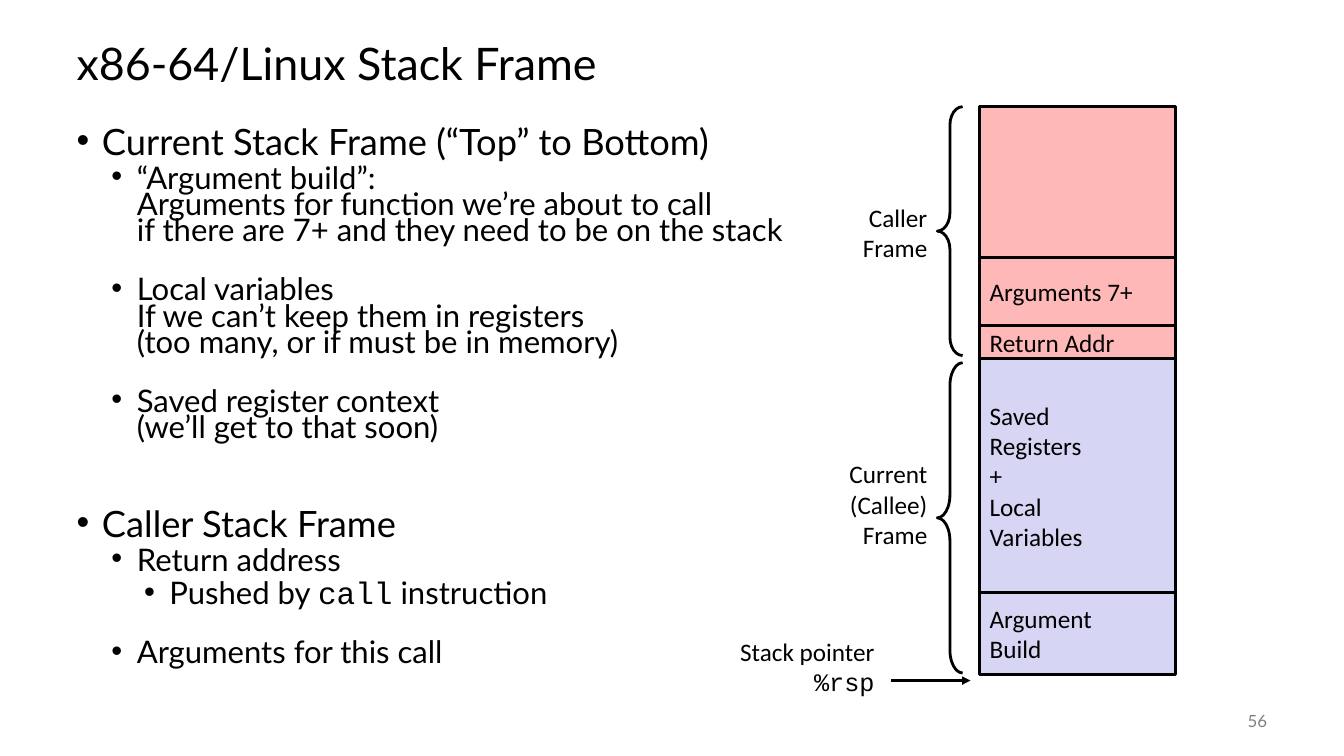
from lxml.etree import SubElement
from pptx import Presentation
from pptx.dml.color import RGBColor
from pptx.enum.shapes import MSO_CONNECTOR, MSO_SHAPE
from pptx.enum.text import MSO_ANCHOR, PP_ALIGN
from pptx.oxml.ns import qn
from pptx.util import Cm, Pt

COLORS = {
    "text": "000000",
    "line": "000000",
    "caller": "FFB8B8",
    "callee": "D6D6F4",
    "number": "808080",
}
MONOSPACE = "Courier New"
STACK_LEFT, STACK_TOP, STACK_WIDTH = 24.69, 2.69, 4.93
STACK = [
    ("caller", 3.81, []),
    ("caller", 1.7, ["Arguments 7+"]),
    ("caller", 0.84, ["Return Addr"]),
    ("callee", 5.9, ["Saved", "Registers", "+", "Local", "Variables"]),
    ("callee", 2.06, ["Argument", "Build"]),
]
LEVELS = [(25.9, 0.64), (22.2, 1.52), (22.2, 2.34)]
OUTLINE = [
    (0, 0, "Current Stack Frame (“Top” to Bottom)"),
    (1, 5, "“Argument build”:\vArguments for function we’re about to call\v"
           "if there are 7+ and they need to be on the stack"),
    (1, 23.65, "Local variables\vIf we can’t keep them in registers\v"
               "(too many, or if must be in memory)"),
    (1, 23.65, "Saved register context\v(we’ll get to that soon)"),
    (0, 49.75, "Caller Stack Frame"),
    (1, 5, "Return address"),
    (2, 5, "Pushed by call instruction"),
    (1, 23.65, "Arguments for this call"),
]


def color(name):
    return RGBColor.from_string(COLORS[name])


def set_font(paragraph, name, size, color_name="text"):
    paragraph.font.name = name
    paragraph.font.size = Pt(size)
    paragraph.font.color.rgb = color(color_name)


def set_indent(paragraph, margin, hanging):
    properties = paragraph._p.get_or_add_pPr()
    properties.set("marL", str(Cm(margin)))
    properties.set("indent", str(-Cm(hanging)))
    return properties


def next_paragraph(frame, index):
    return frame.add_paragraph() if index else frame.paragraphs[0]


def write_lines(frame, lines, alignment):
    for index, line in enumerate(lines):
        paragraph = next_paragraph(frame, index)
        paragraph.text = line
        paragraph.alignment = alignment
        set_font(paragraph, MONOSPACE if line.startswith("%") else "Calibri", 18)


def set_margins(frame, horizontal, vertical):
    frame.margin_left = frame.margin_right = Cm(horizontal)
    frame.margin_top = frame.margin_bottom = Cm(vertical)


def add_text_frame(slide, left, top, width, height):
    box = slide.shapes.add_textbox(Cm(left), Cm(top), Cm(width), Cm(height))
    box.text_frame.word_wrap = True
    return box.text_frame


def add_line_of_text(slide, place, text, size, color_name, alignment):
    frame = add_text_frame(slide, *place)
    frame.vertical_anchor = MSO_ANCHOR.MIDDLE
    paragraph = frame.paragraphs[0]
    paragraph.text = text
    paragraph.alignment = alignment
    set_font(paragraph, "Lato", size, color_name)


def add_outline(slide):
    frame = add_text_frame(slide, 1.68, 3.18, 30.48, 13.97)
    for index, (level, space, text) in enumerate(OUTLINE):
        paragraph = next_paragraph(frame, index)
        size, margin = LEVELS[level]
        before, code, after = text.partition(" call ")
        if code and level == 2:
            for part in (before + " ", code.strip(), " " + after):
                paragraph.add_run().text = part
            paragraph.runs[1].font.name = MONOSPACE
        else:
            paragraph.text = text
        paragraph.level = level
        paragraph.line_spacing = 0.7
        paragraph.space_before = Pt(space)
        properties = set_indent(paragraph, margin, 0.64)
        SubElement(properties, qn("a:buFont"), typeface="Arial")
        SubElement(properties, qn("a:buChar"), char="•")
        set_font(paragraph, "Lato", size)


def add_outlined_shape(slide, preset, left, top, width, height):
    shape = slide.shapes.add_shape(preset, Cm(left), Cm(top), Cm(width), Cm(height))
    shape.shadow.inherit = False
    shape.fill.background()
    shape.line.color.rgb = color("line")
    shape.line.width = Pt(2)
    return shape


def add_stack(slide):
    top = STACK_TOP
    for fill, height, lines in STACK:
        shape = add_outlined_shape(
            slide, MSO_SHAPE.RECTANGLE, STACK_LEFT, top, STACK_WIDTH, height)
        shape.fill.solid()
        shape.fill.fore_color.rgb = color(fill)
        shape.text_frame.vertical_anchor = MSO_ANCHOR.MIDDLE
        set_margins(shape.text_frame, 0.25, 0)
        write_lines(shape.text_frame, lines, PP_ALIGN.LEFT)
        top += height


def add_brace(slide, top, height, curve):
    brace = add_outlined_shape(slide, MSO_SHAPE.LEFT_BRACE, 23.62, top, 0.64, height)
    brace.adjustments[0] = curve


def add_label(slide, place, lines):
    frame = add_text_frame(slide, *place)
    set_margins(frame, 0.1, 0.1)
    write_lines(frame, lines, PP_ALIGN.RIGHT)


def add_arrow(slide, left, right, height):
    arrow = slide.shapes.add_connector(
        MSO_CONNECTOR.STRAIGHT, Cm(left), Cm(height), Cm(right), Cm(height))
    arrow.line.color.rgb = color("line")
    arrow.line.width = Pt(2)
    SubElement(arrow.line._get_or_add_ln(), qn("a:tailEnd"), type="triangle")
    SubElement(arrow._element.spPr, qn("a:effectLst"))


def main():
    presentation = Presentation()
    presentation.slide_width = Cm(33.87)
    presentation.slide_height = Cm(19.05)
    slide = presentation.slides.add_slide(presentation.slide_layouts[6])
    add_line_of_text(slide, (1.68, 0.64, 30.48, 1.9), "x86-64/Linux Stack Frame",
                     32, "text", PP_ALIGN.LEFT)
    add_outline(slide)
    add_stack(slide)
    add_brace(slide, 2.69, 6.27, 0.72)
    add_brace(slide, 9.14, 7.82, 0.9)
    add_label(slide, (20.57, 5, 2.9, 1.75), ["Caller", "Frame"])
    add_label(slide, (20.57, 11.46, 2.9, 2.51), ["Current", "(Callee)", "Frame"])
    add_label(slide, (18.03, 15.93, 4.11, 1.7), ["Stack pointer", "%rsp"])
    add_arrow(slide, 22.45, 24.46, 17.15)
    add_line_of_text(slide, (29.64, 17.65, 2.54, 1.02), "56",
                     12, "number", PP_ALIGN.RIGHT)
    presentation.save("out.pptx")


if __name__ == "__main__":
    main()
